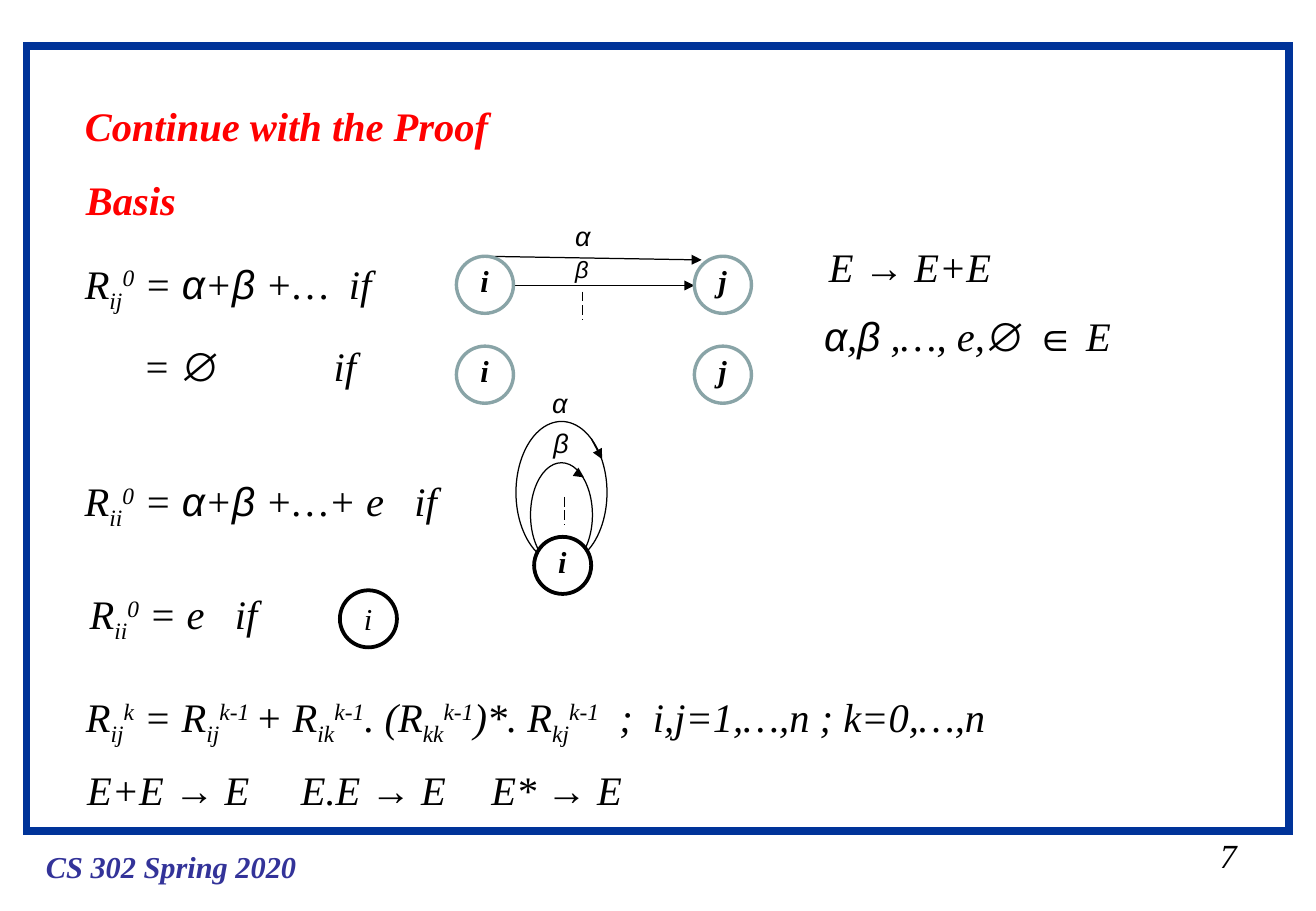
"""Build the slide on the basis step of the regular expression proof."""
import itertools

import lxml.etree
import pptx
import pptx.dml.color
import pptx.enum.dml
import pptx.enum.shapes
import pptx.enum.text
import pptx.oxml.ns
import pptx.util

Inches = pptx.util.Inches
Pt = pptx.util.Pt
RGBColor = pptx.dml.color.RGBColor
MSO_SHAPE = pptx.enum.shapes.MSO_SHAPE
qn = pptx.oxml.ns.qn

BLACK = RGBColor(0, 0, 0)
WHITE = RGBColor(255, 255, 255)
RED = RGBColor(255, 0, 0)
FRAME_BLUE = RGBColor(0, 0x33, 0x99)
FOOTER_BLUE = RGBColor(0x33, 0x33, 0x99)
STATE_GREY = RGBColor(0x89, 0xA4, 0xA7)

SYMBOLS = "αβ→∅∈"
BASELINES = {"_": "-25000", "^": "30000"}
DIAMETER = 0.47
STATE_COLUMNS = (("i", 3.76), ("j", 5.72))


def add_text(slide, text, left, top, width, height, size=24, color=BLACK,
             bold=False, wrap=False, line_spacing=None, tab_stop=None):
    """Add italic text; '|' splits it, '_' lowers a part and '^' raises it."""
    box = slide.shapes.add_textbox(Inches(left), Inches(top), Inches(width), Inches(height))
    frame = box.text_frame
    frame.word_wrap = wrap
    frame.auto_size = pptx.enum.text.MSO_AUTO_SIZE.SHAPE_TO_FIT_TEXT
    paragraph = frame.paragraphs[0]
    if line_spacing:
        paragraph.line_spacing = line_spacing
    if tab_stop:
        properties = paragraph._p.get_or_add_pPr()
        tabs = lxml.etree.SubElement(properties, qn("a:tabLst"))
        lxml.etree.SubElement(tabs, qn("a:tab"), pos=str(Inches(tab_stop)), algn="l")
    for part in text.split("|"):
        baseline = BASELINES.get(part[0])
        content = part[1:] if baseline else part
        for is_symbol, letters in itertools.groupby(content, lambda letter: letter in SYMBOLS):
            run = paragraph.add_run()
            run.text = "".join(letters)
            run.font.name = "Arial" if is_symbol else "Times New Roman"
            run.font.size = Pt(size)
            run.font.italic = True
            run.font.bold = bold
            run.font.color.rgb = color
            if baseline:
                run._r.get_or_add_rPr().set("baseline", baseline)


def add_outline(slide, kind, left, top, width, height, color=BLACK, weight=0.75, fill=None):
    """Add a sharp-cornered outlined shape, unfilled unless a fill is given."""
    shape = slide.shapes.add_shape(kind, Inches(left), Inches(top), Inches(width), Inches(height))
    shape.shadow.inherit = False
    shape.line.color.rgb = color
    shape.line.width = Pt(weight)
    lxml.etree.SubElement(shape.line._get_or_add_ln(), qn("a:miter"), lim="800000")
    if fill is None:
        shape.fill.background()
    else:
        shape.fill.solid()
        shape.fill.fore_color.rgb = fill


def add_state(slide, label, left, top, color=BLACK, weight=2.25, bold=True, drop=0):
    """Add an automaton state: a circle with its label."""
    add_outline(slide, MSO_SHAPE.OVAL, left, top, DIAMETER, DIAMETER, color, weight, WHITE)
    add_text(slide, label, left + 0.1, top + drop, 0.27, 0.4, size=18, bold=bold)


def add_line(slide, start, end, arrow=True):
    """Add a transition arrow, or a dashed line when it has no arrowhead."""
    points = [Inches(value) for value in (*start, *end)]
    connector = slide.shapes.add_connector(pptx.enum.shapes.MSO_CONNECTOR.STRAIGHT, *points)
    connector.line.color.rgb = BLACK
    connector.line.width = Pt(0.75)
    if arrow:
        line = connector.line._get_or_add_ln()
        lxml.etree.SubElement(line, qn("a:tailEnd"), type="triangle")
    else:
        connector.line.dash_style = pptx.enum.dml.MSO_LINE.LONG_DASH
    lxml.etree.SubElement(connector._element.spPr, qn("a:effectLst"))


def add_frame(slide):
    """Add the border, footer and page number."""
    add_outline(slide, MSO_SHAPE.RECTANGLE, 0.22, 0.38, 10.4, 6.46, FRAME_BLUE, 4.5)
    add_text(slide, "CS 302 Spring 2020", 0.28, 6.93, 2.26, 0.4,
             size=18, color=FOOTER_BLUE, bold=True)
    add_text(slide, "7", 9.95, 6.82, 0.34, 0.44, size=20)


def add_formulas(slide):
    """Add the headings and the formulas."""
    add_text(slide, "Continue with the Proof", 0.6, 0.58, 4.38, 0.7,
             color=RED, bold=True, wrap=True, line_spacing=1.5)
    add_text(slide, "Basis", 0.61, 1.39, 0.94, 0.5, color=RED, bold=True)
    add_text(slide, "R|_ij|^0| = α+β +…  if", 0.6, 2.08, 2.99, 0.56)
    add_text(slide, "= ∅\tif", 1.08, 2.76, 2.69, 0.5, wrap=True, tab_stop=1.57)
    add_text(slide, "R|_ii|^0| = α+β +…+ e   if", 0.6, 3.87, 3.53, 0.56)
    add_text(slide, "R|_ii|^0| = e   if", 0.64, 4.8, 2, 0.56)
    add_text(slide, "E → E+E", 6.73, 1.94, 1.8, 0.5, wrap=True)
    add_text(slide, "α,β ,…, e,∅ ∈ E", 6.69, 2.51, 3.15, 0.5, wrap=True)
    add_text(slide, "R|_ij|^k| = R|_ij|^k-1 |+ R|_ik|^k-1|. (R|_kk|^k-1|)*. R|_kj|^k-1"
             "|  ;  i,j=1,…,n ; k=0,…,n", 0.61, 5.42, 8.21, 0.79, wrap=True, line_spacing=1.5)
    for rule, left, width in (("E+E → E", 0.62, 1.75), ("E.E → E", 2.38, 1.56),
                              ("E* → E", 3.95, 1.5)):
        add_text(slide, rule, left, 6.25, width, 0.5, wrap=True)


def add_state_pairs(slide):
    """Add states i and j, first joined by transitions and then apart."""
    add_line(slide, (3.99, 2.11), (5.78, 2.14))
    add_line(slide, (4.23, 2.35), (5.72, 2.35))
    add_line(slide, (4.8, 2.4), (4.8, 2.63), arrow=False)
    for top in (2.11, 2.85):
        for label, left in STATE_COLUMNS:
            add_state(slide, label, left, top, STATE_GREY, 2)
    add_text(slide, "α", 4.64, 1.76, 0.34, 0.37, size=16, wrap=True)
    add_text(slide, "β", 4.64, 2.05, 0.34, 0.34, size=14)


def add_loops(slide):
    """Add state i with its loops, and state i alone."""
    add_line(slide, (4.65, 4.09), (4.65, 4.32), arrow=False)
    add_outline(slide, MSO_SHAPE.OVAL, 4.25, 3.47, 0.75, 1.17)
    add_outline(slide, MSO_SHAPE.OVAL, 4.37, 3.81, 0.51, 0.86)
    add_state(slide, "i", 4.4, 4.42)
    add_text(slide, "α", 4.45, 3.13, 0.34, 0.37, size=16)
    add_text(slide, "β", 4.46, 3.46, 0.37, 0.37, size=16)
    add_line(slide, (4.87, 3.61), (4.96, 3.78))
    add_line(slide, (4.78, 3.91), (4.81, 3.93))
    add_state(slide, "i", 2.8, 4.86, bold=False, drop=0.03)


def main():
    """Build and save the presentation."""
    presentation = pptx.Presentation()
    presentation.slide_width = Inches(10.84)
    presentation.slide_height = Inches(7.5)
    slide = presentation.slides.add_slide(presentation.slide_layouts[6])
    add_frame(slide)
    add_formulas(slide)
    add_state_pairs(slide)
    add_loops(slide)
    presentation.save("out.pptx")


if __name__ == "__main__":
    main()
